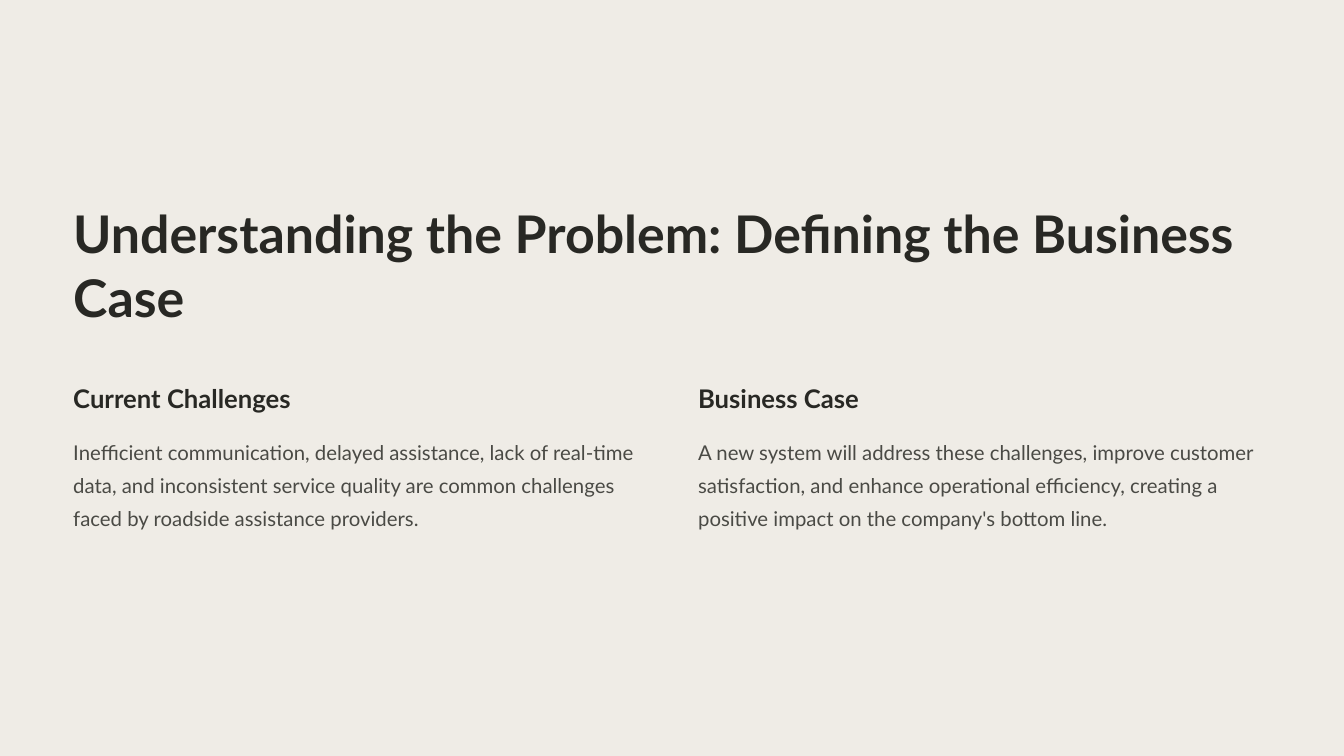
from pptx import Presentation
from pptx.dml.color import RGBColor
from pptx.enum.shapes import MSO_SHAPE
from pptx.util import Emu, Pt

# Content
TITLE = "Understanding the Problem: Defining the Business Case"
COLUMNS = [
    ("Current Challenges",
     "Inefficient communication, delayed assistance, lack of real-time data, "
     "and inconsistent service quality are common challenges faced by "
     "roadside assistance providers."),
    ("Business Case",
     "A new system will address these challenges, improve customer "
     "satisfaction, and enhance operational efficiency, creating a positive "
     "impact on the company's bottom line."),
]

# Style: size and line spacing in points
FONT = "Lato"
COLORS = {"base": "DDD6CC", "paper": "EFECE6",
          "heading": "282824", "body": "4A4A45"}
STYLES = {
    "title": (55.6, 69.4, True, "heading"),
    "heading": (27.5, 34.4, True, "heading"),
    "body": (21.8, 35.6, False, "body"),
}

# Layout in px, 144 to the inch
PX = 6350
SLIDE_W, SLIDE_H = 2880, 1620
LEFT, COLUMN_W, GAP = 157, 1230, 109
TITLE_TOP, TITLE_H = 426, 284
HEADING_TOP, HEADING_W, HEADING_H = 818, 559, 72
BODY_TOP, BODY_H = 924, 226


def add_backdrop(s, color):
    sp = s.shapes.add_shape(MSO_SHAPE.RECTANGLE, 0, 0,
                            Emu(SLIDE_W * PX), Emu(SLIDE_H * PX))
    sp.shadow.inherit = False
    sp.fill.solid()
    sp.fill.fore_color.rgb = RGBColor.from_string(COLORS[color])
    sp.line.fill.background()


def add_text(s, text, style, *box):
    size, spacing, bold, color = STYLES[style]
    tf = s.shapes.add_textbox(*(Emu(v * PX) for v in box)).text_frame
    tf.word_wrap = True
    tf.margin_left = tf.margin_right = tf.margin_top = tf.margin_bottom = 0
    p = tf.paragraphs[0]
    p.line_spacing = Pt(spacing)
    r = p.add_run()
    r.text = text
    r.font.name = FONT
    r.font.size = Pt(size)
    r.font.bold = bold
    r.font.color.rgb = RGBColor.from_string(COLORS[color])


def main():
    prs = Presentation()
    prs.slide_width, prs.slide_height = Emu(SLIDE_W * PX), Emu(SLIDE_H * PX)
    s = prs.slides.add_slide(prs.slide_layouts[6])

    # Backdrop, base under paper
    s.background.fill.solid()
    s.background.fill.fore_color.rgb = RGBColor(0, 0, 0)
    for color in ("base", "paper"):
        add_backdrop(s, color)

    # Title across both columns
    add_text(s, TITLE, "title", LEFT, TITLE_TOP, 2 * COLUMN_W + GAP, TITLE_H)

    # Columns
    for i, (heading, body) in enumerate(COLUMNS):
        x = LEFT + i * (COLUMN_W + GAP)
        add_text(s, heading, "heading", x, HEADING_TOP, HEADING_W, HEADING_H)
        add_text(s, body, "body", x, BODY_TOP, COLUMN_W, BODY_H)

    prs.save("out.pptx")


if __name__ == "__main__":
    main()
